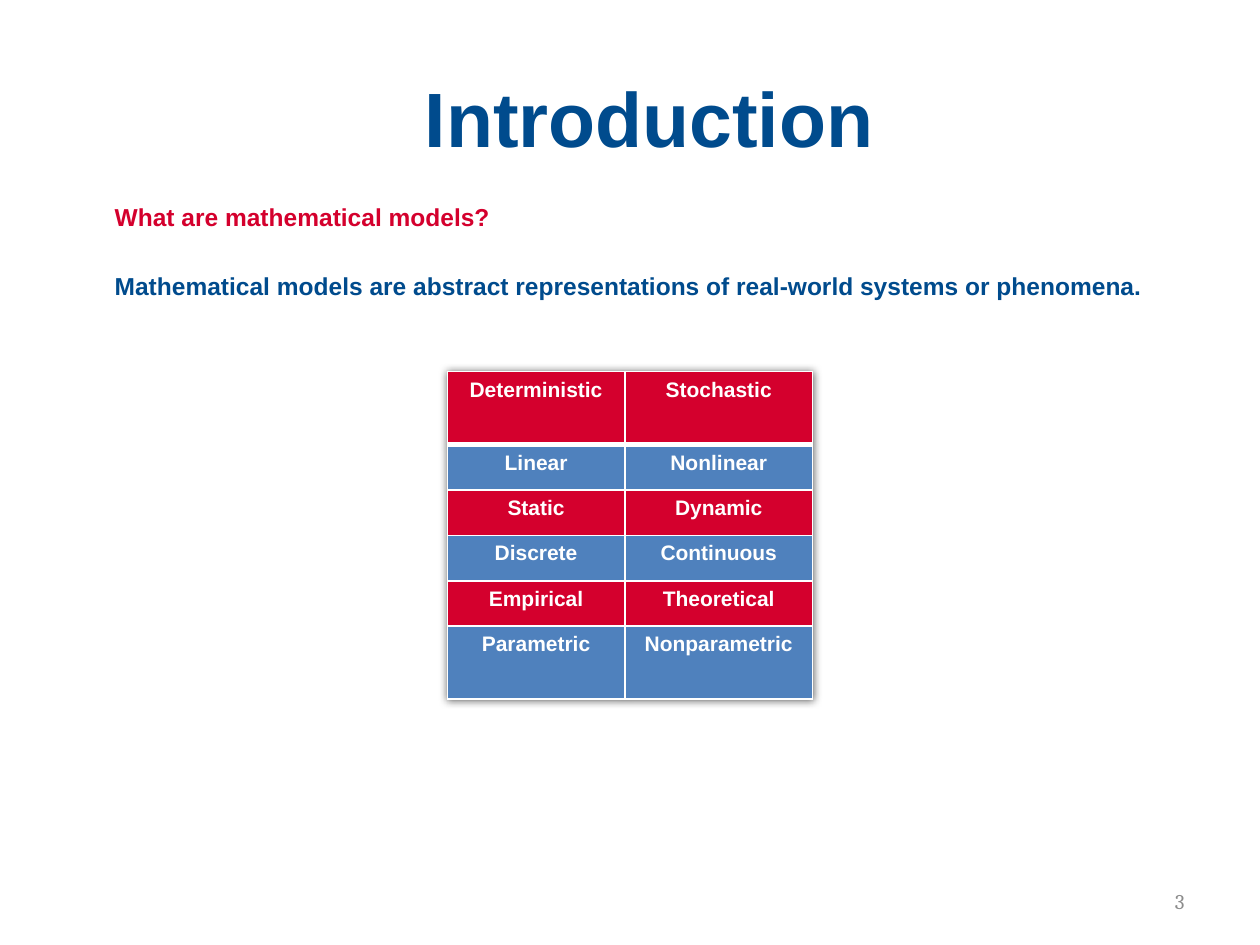
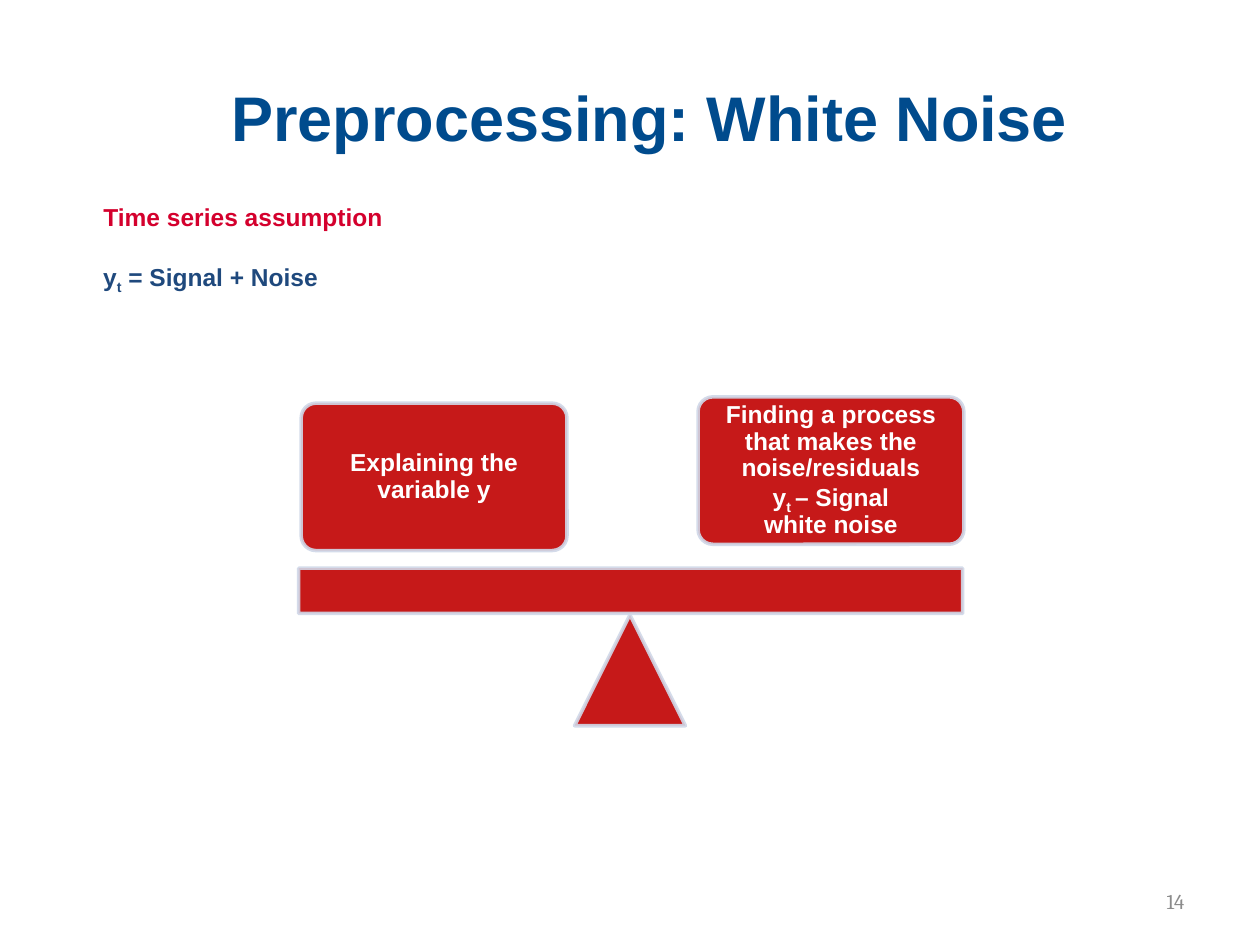
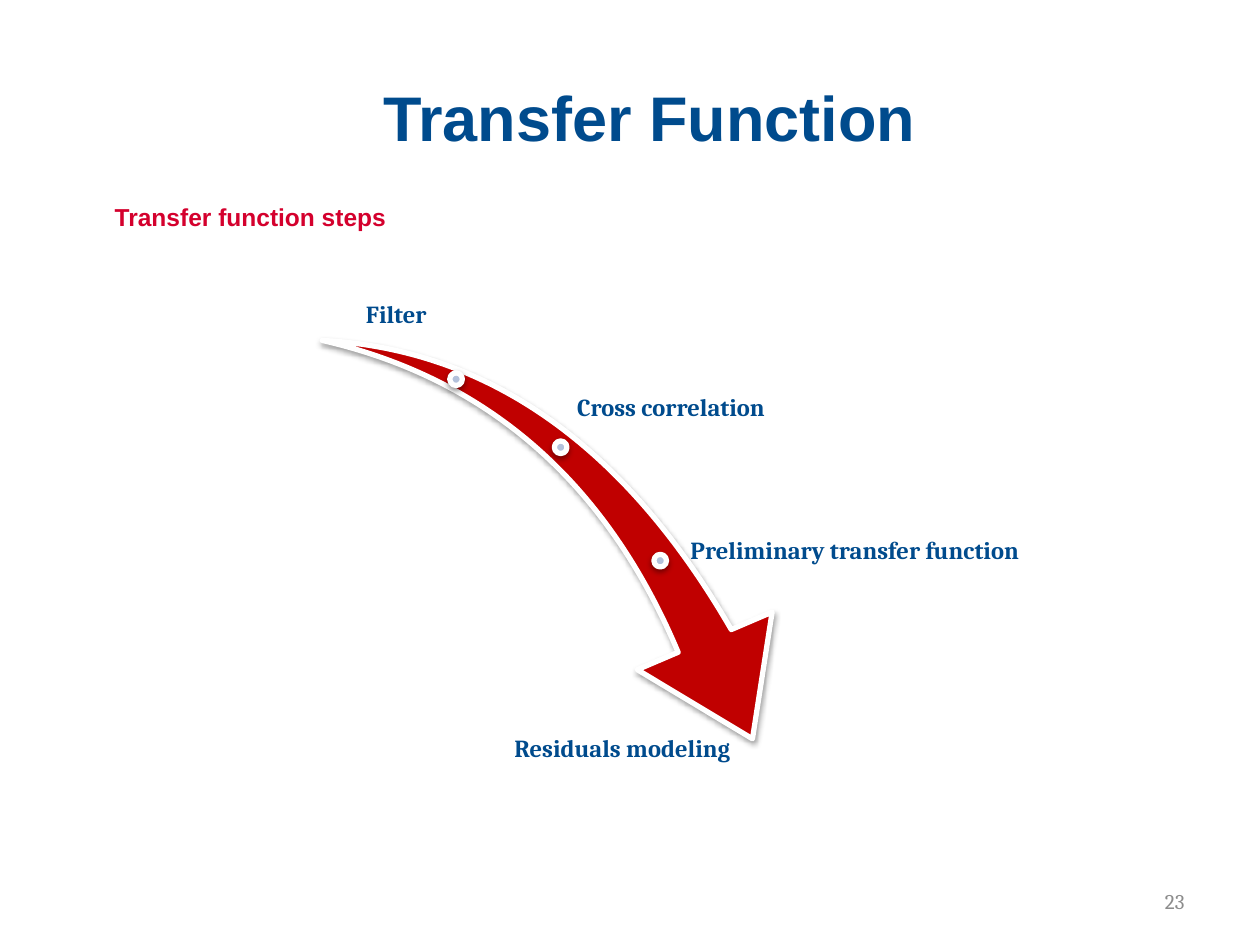
import dataclasses

import pptx
import pptx.dml.color
import pptx.enum.shapes
import pptx.enum.text
import pptx.oxml
import pptx.oxml.ns
import pptx.util

Pt = pptx.util.Pt
SHAPE = pptx.enum.shapes.MSO_SHAPE
ALIGN = pptx.enum.text.PP_ALIGN
ANCHOR = pptx.enum.text.MSO_ANCHOR
qn = pptx.oxml.ns.qn

COLS, ROWS = 100, 75
CELL = pptx.util.Inches(0.1)
TITLE_AND_BODY = 1


@dataclasses.dataclass(frozen=True)
class Theme:
    sans: str = "Arial"
    serif: str = "Cambria"
    navy: str = "004B8D"
    deep_blue: str = "1F497D"
    steel: str = "4F81BD"
    red: str = "D4002D"
    dark_red: str = "C00000"
    pale: str = "D0D8E8"
    dot: str = "B3C1DB"
    grey: str = "8C8C8C"
    white: str = "FFFFFF"
    title_large: int = 44
    title: int = 36
    text: int = 14
    small: int = 12


T = Theme()


def rgb(color):
    return pptx.dml.color.RGBColor.from_string(color)


def grid(*cells):
    """Turn grid columns and rows into lengths."""
    return [round(c * CELL) for c in cells]


def xml(parent, text, index=None):
    el = pptx.oxml.parse_xml(text.replace(" ", f" {pptx.oxml.ns.nsdecls('a')} ", 1))
    parent.insert(len(parent) if index is None else index, el)


def style(p, size=T.text, color=T.navy, font=T.sans, bold=True):
    for r in p.runs:
        r.font.size, r.font.name, r.font.bold = Pt(size), font, bold
        r.font.color.rgb = rgb(color)


def write(p, text, **look):
    """Write text in which every second part between ~ marks is a subscript."""
    for i, part in enumerate(text.split("~")):
        r = p.add_run()
        r.text = part
        if i % 2:
            r.font._element.set("baseline", "-25000")
    style(p, **look)


def set_frame(tf, anchor, inset=None):
    tf.word_wrap = True
    tf.auto_size = pptx.enum.text.MSO_AUTO_SIZE.NONE
    tf.vertical_anchor = anchor
    if inset is not None:
        tf.margin_left = tf.margin_right = pptx.util.Inches(inset)
        tf.margin_top = tf.margin_bottom = pptx.util.Inches(inset)


def place(sp, cells):
    sp.left, sp.top, sp.width, sp.height = grid(*cells)


def add_page(prs, title, size, number):
    slide = prs.slides.add_slide(prs.slide_layouts[TITLE_AND_BODY])
    sp = slide.shapes.title
    place(sp, (8.1, 3, 86.9, 12.5))
    set_frame(sp.text_frame, ANCHOR.MIDDLE)
    sp.text_frame.text = title
    p = sp.text_frame.paragraphs[0]
    p.alignment = ALIGN.CENTER
    style(p, size)
    add_text(slide, (71.7, 69.5, 23.3, 4), number, ANCHOR.MIDDLE, ALIGN.RIGHT,
             size=T.small, color=T.grey, font=T.serif, bold=False)
    return slide


def add_text(slide, cells, text, anchor, align, inset=None, **look):
    tf = slide.shapes.add_textbox(*grid(*cells)).text_frame
    set_frame(tf, anchor, inset)
    p = tf.paragraphs[0]
    p.alignment = align
    write(p, text, **look)


def fill_body(slide, cells, heading, statement=None):
    sp = slide.placeholders[1]
    place(sp, cells)
    tf = sp.text_frame
    set_frame(tf, ANCHOR.TOP)
    lines = [(heading, T.red, 0)]
    if statement:
        lines.append((statement, T.navy, 22.7))
    tf.text = "\n".join(text for text, _, _ in lines)
    for p, (_, color, gap) in zip(tf.paragraphs, lines):
        pPr = p._p.get_or_add_pPr()
        pPr.set("marL", "0")
        pPr.set("indent", "0")
        xml(pPr, "<a:buNone />")
        p.space_before = Pt(gap)
        style(p, color=color)


def add_solid(slide, kind, cells, fill, line, width, alpha=None, shadow=False):
    sp = slide.shapes.add_shape(kind, *grid(*cells))
    sp.shadow.inherit = False
    sp.fill.solid()
    sp.fill.fore_color.rgb = rgb(fill)
    sp.line.color.rgb = rgb(line)
    sp.line.width = Pt(width)
    spPr = sp._element.spPr
    if alpha:
        for clr in spPr.iter(qn("a:srgbClr")):
            xml(clr, f'<a:alpha val="{alpha * 1000}"/>')
    if shadow:
        add_shadow(spPr.find(qn("a:effectLst")), 3.1, 1.6, 38)
    return sp


def add_shadow(effects, blur, distance, alpha):
    xml(effects, f'<a:outerShdw blurRad="{Pt(blur)}" dist="{Pt(distance)}" dir="5400000" '
                 f'rotWithShape="0"><a:srgbClr val="000000"><a:alpha val="{alpha * 1000}"/>'
                 '</a:srgbClr></a:outerShdw>')


def add_weight(slide, cells, lines):
    """Add a rounded block that rests on the balance."""
    sp = add_solid(slide, SHAPE.ROUNDED_RECTANGLE, cells, T.dark_red, T.pale, 2, alpha=90)
    sp.adjustments[0] = 0.1
    tf = sp.text_frame
    set_frame(tf, ANCHOR.MIDDLE, 0.06)
    for i, line in enumerate(lines):
        p = tf.add_paragraph() if i else tf.paragraphs[0]
        p.alignment = ALIGN.CENTER
        p.line_spacing = 0.9
        write(p, line, color=T.white)


def border_cell(cell, top, bottom):
    tcPr = cell._tc.get_or_add_tcPr()
    for side, width in (("L", 1), ("R", 1), ("T", top), ("B", bottom)):
        xml(tcPr, f'<a:ln{side} w="{Pt(width)}"><a:solidFill><a:srgbClr val="{T.white}"/>'
                  f'</a:solidFill></a:ln{side}>')


def add_pairs_table(slide, cells, widths, heights, pairs):
    table = slide.shapes.add_table(len(pairs), len(widths), *grid(*cells)).table
    xml(table._tbl.tblPr, "<a:effectLst />", 0)
    add_shadow(table._tbl.tblPr[0], 5, 0, 60)
    for col, width in zip(table.columns, grid(*widths)):
        col.width = width
    for i, (row, height) in enumerate(zip(table.rows, grid(*heights))):
        row.height = height
        for cell, text in zip(row.cells, pairs[i]):
            border_cell(cell, 3 if i == 1 else 1, 3 if i == 0 else 1)
            cell.fill.solid()
            cell.fill.fore_color.rgb = rgb(T.steel if i % 2 else T.red)
            cell.text = text
            p = cell.text_frame.paragraphs[0]
            p.alignment = ALIGN.CENTER
            style(p, T.small, T.white)


def build_introduction(prs):
    slide = add_page(prs, "Introduction", T.title_large, "3")
    fill_body(slide, (8.1, 15.5, 86.9, 54), "What are mathematical models?",
              "Mathematical models are abstract representations of real-world systems "
              "or phenomena.")
    pairs = [("Deterministic", "Stochastic"), ("Linear", "Nonlinear"), ("Static", "Dynamic"),
             ("Discrete", "Continuous"), ("Empirical", "Theoretical"),
             ("Parametric", "Nonparametric")]
    heights = [5.8] + [3.6] * 4 + [5.8]
    add_pairs_table(slide, (35.5, 29.5, 29, 25.9), (14.1, 14.9), heights, pairs)


def build_white_noise(prs):
    slide = add_page(prs, "Preprocessing: White Noise", T.title, "14")
    fill_body(slide, (7.2, 15.5, 67.6, 4), "Time series assumption")
    add_text(slide, (7.2, 20.3, 21.2, 3.9), "y~t~ = Signal + Noise", ANCHOR.TOP, ALIGN.LEFT,
             color=T.deep_blue)
    add_weight(slide, (23.9, 32, 21.1, 11.7), ["Explaining the variable y"])
    add_weight(slide, (55.4, 31.5, 21.1, 11.7),
               ["Finding a process that makes the noise/residuals", "y~t ~– Signal",
                "white noise"])
    for kind, cells in ((SHAPE.ISOSCELES_TRIANGLE, (45.6, 48.8, 8.8, 8.8)),
                        (SHAPE.RECTANGLE, (23.7, 45.1, 52.7, 3.6))):
        add_solid(slide, kind, cells, T.dark_red, T.pale, 2, alpha=90)


def build_transfer_function(prs):
    slide = add_page(prs, "Transfer Function", T.title, "23")
    fill_body(slide, (8.1, 15.5, 88.1, 51.5), "Transfer function steps")
    arrow = add_solid(slide, SHAPE.SWOOSH_ARROW, (24.7, 28.2, 40.1, 28), T.dark_red, T.white,
                      3, shadow=True)
    arrow.rotation = 73.3
    arrow.adjustments[0], arrow.adjustments[1] = 0.163, 0.314
    for x, y in ((35.7, 29.6), (44, 35), (51.9, 44)):
        add_solid(slide, SHAPE.OVAL, (x, y, 1, 1), T.dot, T.white, 3, shadow=True)
    steps = [("Filter", (22, 18.9, 18.9), ANCHOR.BOTTOM, ALIGN.CENTER),
             ("Cross correlation", (45.6, 28.6, 27.6), ANCHOR.MIDDLE, ALIGN.LEFT),
             ("Preliminary transfer function", (54.6, 39.9, 37.2), ANCHOR.MIDDLE, ALIGN.LEFT),
             ("Residuals modeling", (36.6, 58, 25.6), ANCHOR.TOP, ALIGN.CENTER)]
    for text, cells, anchor, align in steps:
        add_text(slide, (*cells, 7.4), text, anchor, align, 0.02, font=T.serif)


def main():
    prs = pptx.Presentation()
    prs.slide_width, prs.slide_height = grid(COLS, ROWS)
    build_introduction(prs)
    build_white_noise(prs)
    build_transfer_function(prs)
    prs.save("out.pptx")


if __name__ == "__main__":
    main()
